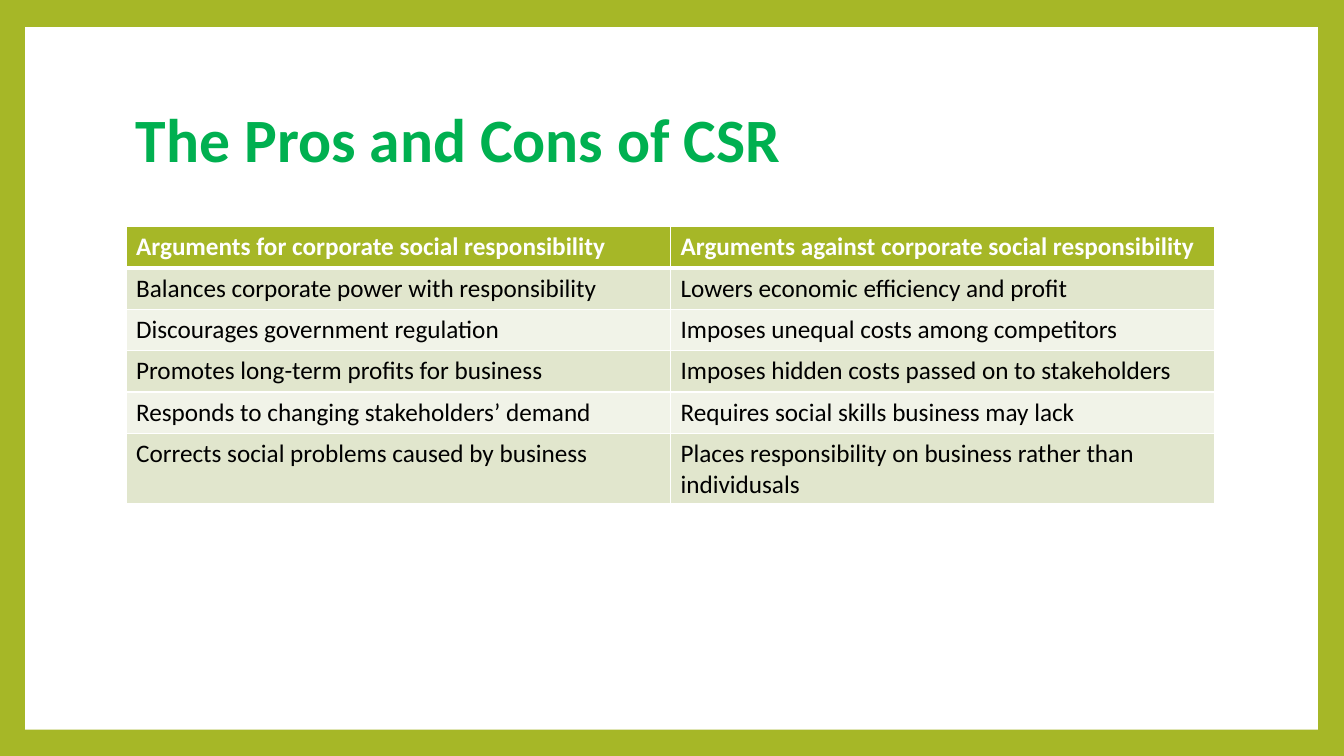
from dataclasses import dataclass

from lxml.etree import SubElement
from pptx import Presentation
from pptx.dml.color import RGBColor
from pptx.enum.shapes import MSO_SHAPE as Shape
from pptx.enum.text import MSO_ANCHOR as Anchor
from pptx.oxml.ns import qn
from pptx.util import Inches, Pt

LIME = RGBColor(0xA6, 0xB7, 0x27)
GREEN = RGBColor(0x00, 0xB0, 0x50)
WHITE = RGBColor(0xFF, 0xFF, 0xFF)
BLACK = RGBColor(0x00, 0x00, 0x00)
BAND_DARK = RGBColor(0xE1, 0xE6, 0xCD)
BAND_LIGHT = RGBColor(0xF1, 0xF3, 0xE8)

FONT = "Calibri"
SLIDE_WIDTH, SLIDE_HEIGHT = 13.33, 7.5
LEFT, WIDTH = 1.25, 10.8
TABLE_TOP, ROW_HEIGHT = 2.25, 0.41


@dataclass(frozen=True)
class ArgumentPair:
    pro: str
    con: str


@dataclass(frozen=True)
class RowStyle:
    fill: RGBColor
    color: RGBColor
    bold: bool
    top: float
    bottom: float


PAIRS = [
    ArgumentPair("Arguments for corporate social responsibility",
                 "Arguments against corporate social responsibility"),
    ArgumentPair("Balances corporate power with responsibility",
                 "Lowers economic efficiency and profit"),
    ArgumentPair("Discourages government regulation",
                 "Imposes unequal costs among competitors"),
    ArgumentPair("Promotes long-term profits for business",
                 "Imposes hidden costs passed on to stakeholders"),
    ArgumentPair("Responds to changing stakeholders’ demand",
                 "Requires social skills business may lack"),
    ArgumentPair("Corrects social problems caused by business",
                 "Places responsibility on business rather than individusals"),
]


def style_text(frame, size: float, color: RGBColor, bold: bool) -> None:
    for para in frame.paragraphs:
        for span in para.runs:
            span.font.name = FONT
            span.font.size = Pt(size)
            span.font.bold = bold
            span.font.color.rgb = color


def row_style(row: int) -> RowStyle:
    if row == 0:
        return RowStyle(LIME, WHITE, True, 1, 3)
    fill = BAND_DARK if row % 2 else BAND_LIGHT
    return RowStyle(fill, BLACK, False, 3 if row == 1 else 1, 1)


def add_borders(cell, style: RowStyle) -> None:
    properties = cell._tc.get_or_add_tcPr()
    widths = {"a:lnL": 1, "a:lnR": 1, "a:lnT": style.top, "a:lnB": style.bottom}
    for tag, width in widths.items():
        line = SubElement(properties, qn(tag), w=str(Pt(width)))
        solid = SubElement(line, qn("a:solidFill"))
        SubElement(solid, qn("a:srgbClr"), val=str(WHITE))


def add_panel(page) -> None:
    panel = page.shapes.add_shape(
        Shape.RECTANGLE, Inches(0.25), Inches(0.27), Inches(12.82), Inches(6.97))
    panel.shadow.inherit = False
    panel.fill.solid()
    panel.fill.fore_color.rgb = WHITE
    panel.line.fill.background()


def add_title(page, text: str) -> None:
    box = page.shapes.add_textbox(
        Inches(LEFT), Inches(0.67), Inches(WIDTH), Inches(1.48))
    frame = box.text_frame
    frame.word_wrap = True
    frame.vertical_anchor = Anchor.MIDDLE
    frame.text = text
    frame.paragraphs[0].line_spacing = 0.9
    style_text(frame, 44, GREEN, True)


def add_arguments(page, pairs: list[ArgumentPair]) -> None:
    table = page.shapes.add_table(
        len(pairs), 2, Inches(LEFT), Inches(TABLE_TOP),
        Inches(WIDTH), Inches(ROW_HEIGHT * len(pairs))).table
    table.horz_banding = False
    for row, pair in enumerate(pairs):
        style = row_style(row)
        for column, text in enumerate((pair.pro, pair.con)):
            cell = table.cell(row, column)
            cell.text_frame.text = text
            style_text(cell.text_frame, 18, style.color, style.bold)
            add_borders(cell, style)
            cell.fill.solid()
            cell.fill.fore_color.rgb = style.fill


def main() -> None:
    deck = Presentation()
    deck.slide_width = Inches(SLIDE_WIDTH)
    deck.slide_height = Inches(SLIDE_HEIGHT)
    page = deck.slides.add_slide(deck.slide_layouts[6])
    page.background.fill.solid()
    page.background.fill.fore_color.rgb = LIME
    add_panel(page)
    add_title(page, "The Pros and Cons of CSR")
    add_arguments(page, PAIRS)
    deck.save("out.pptx")


if __name__ == "__main__":
    main()
